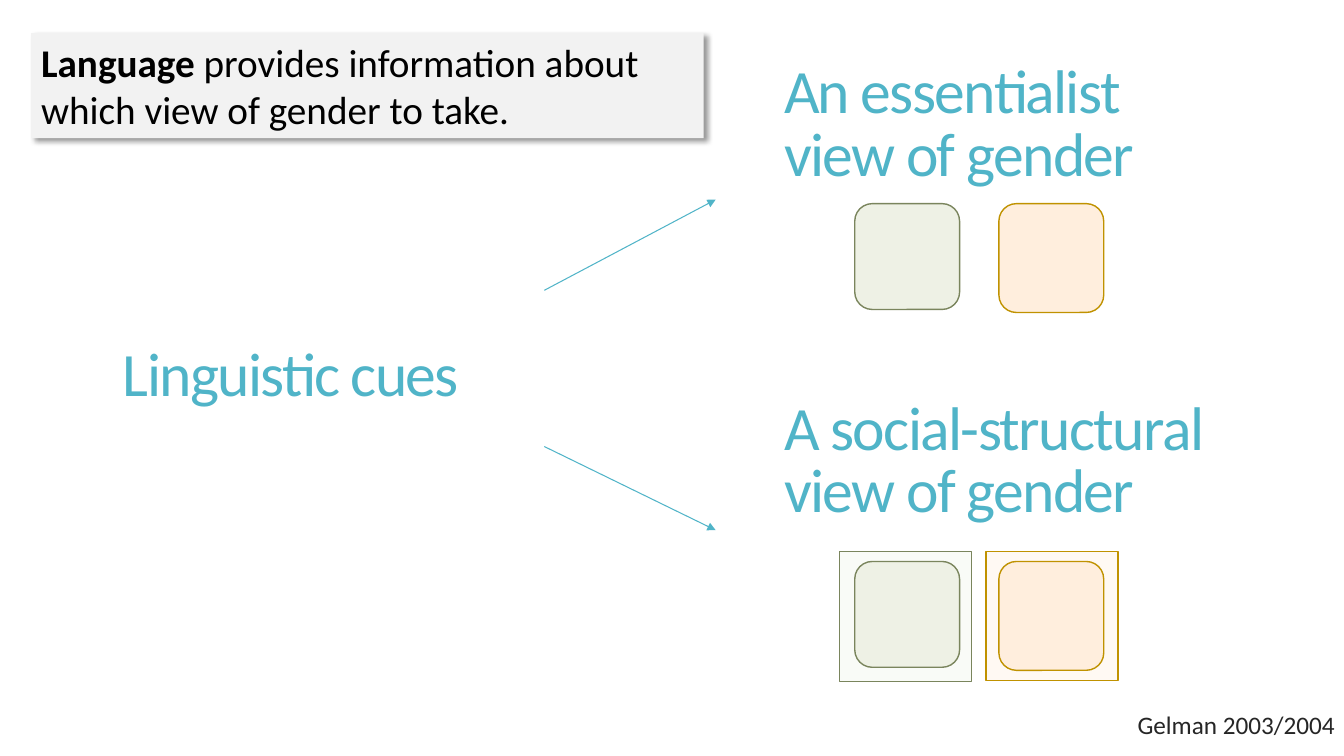
"""Build a slide on linguistic cues and two views of gender."""
from dataclasses import dataclass

from lxml import etree
from pptx import Presentation
from pptx.dml.color import RGBColor
from pptx.enum.shapes import MSO_CONNECTOR, MSO_SHAPE
from pptx.enum.text import MSO_ANCHOR, MSO_AUTO_SIZE, PP_ALIGN
from pptx.oxml import parse_xml
from pptx.oxml.ns import nsdecls, qn
from pptx.util import Inches, Pt

RECT, ROUNDED = MSO_SHAPE.RECTANGLE, MSO_SHAPE.ROUNDED_RECTANGLE
STRAIGHT = MSO_CONNECTOR.STRAIGHT
TOP, MIDDLE = MSO_ANCHOR.TOP, MSO_ANCHOR.MIDDLE
LEFT, RIGHT = PP_ALIGN.LEFT, PP_ALIGN.RIGHT
FIXED = MSO_AUTO_SIZE.NONE
TITLE_ONLY = 5


@dataclass(frozen=True)
class Theme:
    font: str = "Calibri"
    heading: str = "50B4C8"
    claim: str = "000000"
    claim_fill: str = "F2F2F2"
    citation: str = "262626"
    heading_size: float = 44
    claim_size: float = 28
    citation_size: float = 18
    outline: float = 1
    arrow: float = 0.75
    tracking: str = "-120"
    leading: float = 0.85


THEME = Theme()
COLUMNS, ROWS, CELL = 133.33, 75, 0.1

CLAIM = ("Language", " provides information about which view of gender to take.")
CUES = "Linguistic cues"
ESSENTIALIST = "An essentialist \nview of gender"
SOCIAL = "A social-structural view of gender"
CITATION = "Gelman 2003/2004"

CLAIM_AREA = (3.1, 3.3, 66.7, 10.4)
CUES_AREA = (11.2, 31.4, 38.5, 12.2)
ESSENTIALIST_AREA = (76.8, 0.7, 49.4, 23.6)
SOCIAL_AREA = (76.8, 34.1, 49.4, 23.6)
CITATION_AREA = (85.5, 70.3, 47.9, 4.7)

ARROW_COLUMNS = (54, 71)
ARROW_ROWS = [(28.8, 19.8), (44.3, 52.6)]

TILE_WIDTH, FRAME_WIDTH = 10.4, 13.1
TILE_ROWS, FRAME_ROW = (20.2, 55.7), 54.7
GROUPS = [
    {"line": "C09200", "tile": "FFEEDD", "frame": "FFF9F3",
     "tile_column": 99.1, "tile_height": 10.8, "frame_column": 97.8, "frame_height": 12.8},
    {"line": "7A855D", "tile": "EEF1E5", "frame": "F9FBF7",
     "tile_column": 84.8, "tile_height": 10.5, "frame_column": 83.3, "frame_height": 12.9},
]


def grid(*cells):
    return [Inches(cell * CELL) for cell in cells]


def rgb(code):
    return RGBColor.from_string(code)


def style_run(run, size, color, bold=False):
    run.font.name = THEME.font
    run.font.size = Pt(size)
    run.font.bold = bold
    run.font.color.rgb = rgb(color)


def write(box, words, size, color, anchor=TOP, align=LEFT):
    frame = box.text_frame
    frame.word_wrap = True
    frame.auto_size = FIXED
    frame.vertical_anchor = anchor
    line = frame.paragraphs[0]
    line.text = words
    line.alignment = align
    line.line_spacing = THEME.leading
    for run in line.runs:
        style_run(run, size, color)
    return line


def write_heading(box, words):
    line = write(box, words, THEME.heading_size, THEME.heading, MIDDLE)
    for run in line.runs:
        run.font._element.set("spc", THEME.tracking)


def add_block(slide, kind, area, fill, outline=None):
    block = slide.shapes.add_shape(kind, *grid(*area))
    block.shadow.inherit = False
    block.fill.solid()
    block.fill.fore_color.rgb = rgb(fill)
    if outline:
        block.line.color.rgb = rgb(outline)
        block.line.width = Pt(THEME.outline)
    else:
        block.line.fill.background()
    return block


def add_claim(slide):
    claim = add_block(slide, RECT, CLAIM_AREA, THEME.claim_fill)
    effects = claim._element.spPr.find(qn("a:effectLst"))
    effects.append(parse_xml(
        f'<a:outerShdw {nsdecls("a")} blurRad="50800" dist="38100" dir="2700000" '
        'algn="tl" rotWithShape="0"><a:srgbClr val="000000"><a:alpha val="40000"/>'
        '</a:srgbClr></a:outerShdw>'))
    frame = claim.text_frame
    frame.word_wrap = True
    frame.vertical_anchor = TOP
    line = frame.paragraphs[0]
    line.alignment = LEFT
    for words, bold in zip(CLAIM, (True, False)):
        run = line.add_run()
        run.text = words
        style_run(run, THEME.claim_size, THEME.claim, bold)


def add_arrow(slide, start_row, end_row):
    start, end = ARROW_COLUMNS
    arrow = slide.shapes.add_connector(STRAIGHT, *grid(start, start_row, end, end_row))
    arrow.line.color.rgb = rgb(THEME.heading)
    arrow.line.width = Pt(THEME.arrow)
    etree.SubElement(arrow.line._get_or_add_ln(), qn("a:tailEnd"), type="triangle")
    etree.SubElement(arrow._element.spPr, qn("a:effectLst"))


def main():
    deck = Presentation()
    deck.slide_width, deck.slide_height = grid(COLUMNS, ROWS)
    slide = deck.slides.add_slide(deck.slide_layouts[TITLE_ONLY])

    title = slide.shapes.title
    title.left, title.top, title.width, title.height = grid(*SOCIAL_AREA)
    write_heading(title, SOCIAL)
    for words, area in ((ESSENTIALIST, ESSENTIALIST_AREA), (CUES, CUES_AREA)):
        write_heading(slide.shapes.add_textbox(*grid(*area)), words)

    for group in GROUPS:
        area = (group["frame_column"], FRAME_ROW, FRAME_WIDTH, group["frame_height"])
        add_block(slide, RECT, area, group["frame"], group["line"])
    for row in TILE_ROWS:
        for group in GROUPS:
            area = (group["tile_column"], row, TILE_WIDTH, group["tile_height"])
            add_block(slide, ROUNDED, area, group["tile"], group["line"])

    for start_row, end_row in ARROW_ROWS:
        add_arrow(slide, start_row, end_row)
    add_claim(slide)
    citation = slide.shapes.add_textbox(*grid(*CITATION_AREA))
    write(citation, CITATION, THEME.citation_size, THEME.citation, align=RIGHT)
    deck.save("out.pptx")


if __name__ == "__main__":
    main()
